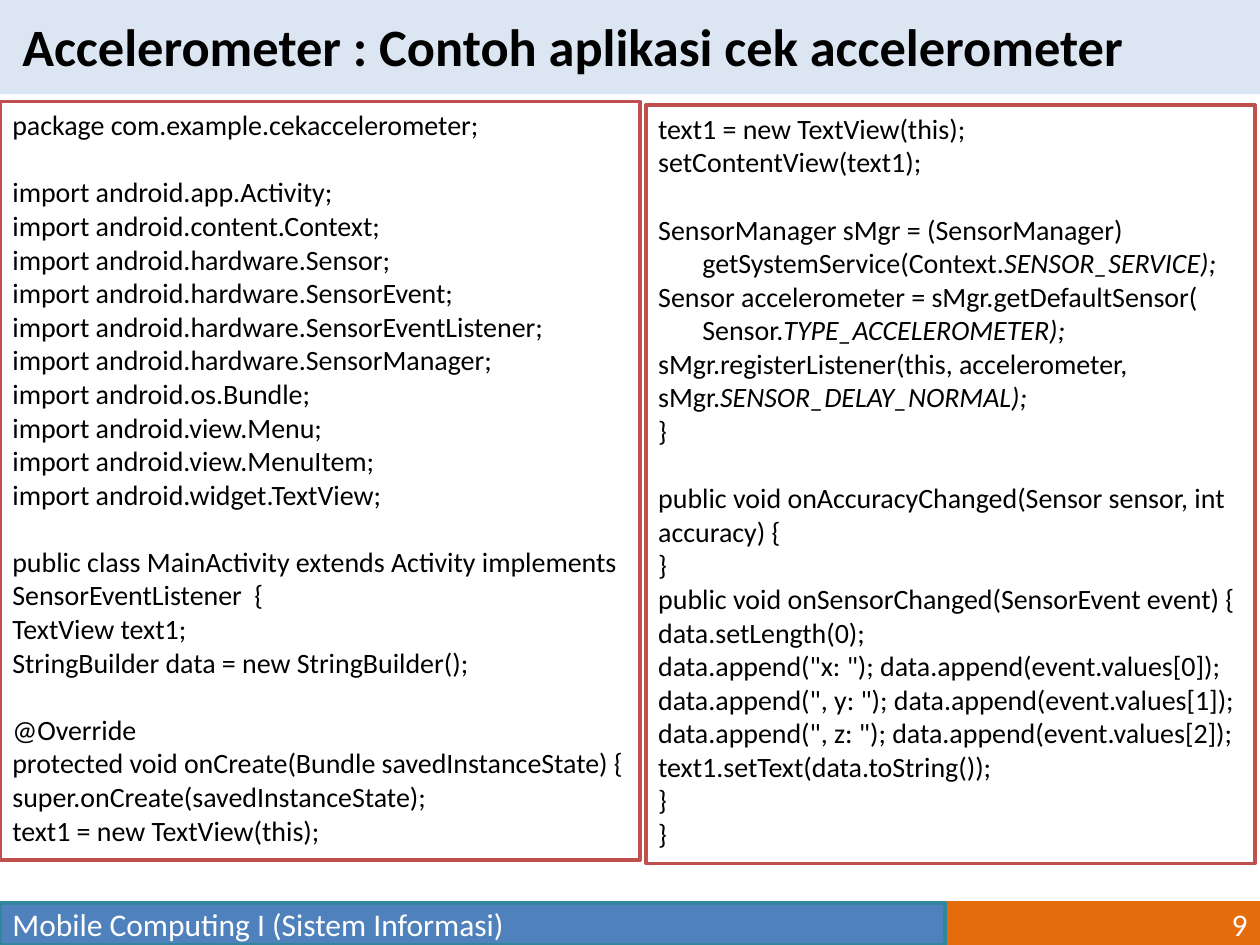
from dataclasses import dataclass

from pptx import Presentation
from pptx.dml.color import RGBColor
from pptx.enum.shapes import MSO_SHAPE
from pptx.enum.text import MSO_ANCHOR, PP_ALIGN
from pptx.util import Cm, Pt

RECTANGLE = MSO_SHAPE.RECTANGLE
TOP, MIDDLE = MSO_ANCHOR.TOP, MSO_ANCHOR.MIDDLE
LEFT, RIGHT = PP_ALIGN.LEFT, PP_ALIGN.RIGHT


@dataclass(frozen=True)
class Theme:
    font: str = "Calibri"
    title_size: int = 30
    code_size: int = 16
    footer_size: int = 18
    block_gap: float = 19.2
    border: int = 2
    ink: str = "000000"
    paper: str = "FFFFFF"
    title_band: str = "DCE6F2"
    code_border: str = "C0504D"
    course_fill: str = "4F81BD"
    course_border: str = "31859C"
    number_fill: str = "E46C0A"


THEME = Theme()
TITLE = "Accelerometer : Contoh aplikasi cek accelerometer"
COURSE = "Mobile Computing I (Sistem Informasi)"
PAGE_NUMBER = "9"

SETUP_CODE = [
    ["package com.example.cekaccelerometer;"],
    [
        "import android.app.Activity;",
        "import android.content.Context;",
        "import android.hardware.Sensor;",
        "import android.hardware.SensorEvent;",
        "import android.hardware.SensorEventListener;",
        "import android.hardware.SensorManager;",
        "import android.os.Bundle;",
        "import android.view.Menu;",
        "import android.view.MenuItem;",
        "import android.widget.TextView;",
    ],
    [
        "public class MainActivity extends Activity implements SensorEventListener  {",
        "TextView text1;",
        "StringBuilder data = new StringBuilder();",
    ],
    [
        "@Override",
        "protected void onCreate(Bundle savedInstanceState) {",
        "super.onCreate(savedInstanceState);",
        "text1 = new TextView(this);",
    ],
]
SENSOR_CODE = [
    ["text1 = new TextView(this);", "setContentView(text1);"],
    [
        "SensorManager sMgr = (SensorManager)",
        ("\tgetSystemService(Context.", "SENSOR_SERVICE);"),
        "Sensor accelerometer = sMgr.getDefaultSensor(",
        ("\tSensor.", "TYPE_ACCELEROMETER);"),
        ("sMgr.registerListener(this, accelerometer, sMgr.", "SENSOR_DELAY_NORMAL);"),
        "}",
    ],
    [
        "public void onAccuracyChanged(Sensor sensor, int accuracy) {",
        "}",
        "public void onSensorChanged(SensorEvent event) {",
        "data.setLength(0);",
        'data.append("x: "); data.append(event.values[0]);',
        'data.append(", y: "); data.append(event.values[1]);',
        'data.append(", z: "); data.append(event.values[2]);',
        "text1.setText(data.toString());",
        "}",
        "}",
    ],
]

SLIDE_WIDTH, SLIDE_HEIGHT = 25.4, 19.05
BAND_HEIGHT = 1.9
CODE_HEIGHT = 15.29
CODE_INDENT = 0.89
FOOTER_HEIGHT = 0.85
FOOTER_TOP = SLIDE_HEIGHT - FOOTER_HEIGHT
COURSE_WIDTH = SLIDE_WIDTH * 0.75


def add_panel(slide, box, fill, border=None):
    """Add a flat rectangle."""
    panel = slide.shapes.add_shape(RECTANGLE, *map(Cm, box))
    panel.shadow.inherit = False
    panel.fill.solid()
    panel.fill.fore_color.rgb = RGBColor.from_string(fill)
    if border:
        panel.line.color.rgb = RGBColor.from_string(border)
        panel.line.width = Pt(THEME.border)
    else:
        panel.line.fill.background()
    return panel


def write(shape, blocks, size, color=THEME.ink, bold=False, align=LEFT, anchor=TOP, wrap=True):
    """Write blocks of lines, where the second part of a line is italic."""
    frame = shape.text_frame
    frame.word_wrap = wrap
    frame.vertical_anchor = anchor
    lines = [(row, line) for block in blocks for row, line in enumerate(block)]
    for position, (row, line) in enumerate(lines):
        paragraph = frame.add_paragraph() if position else frame.paragraphs[0]
        paragraph.alignment = align
        if position and row == 0:
            paragraph.space_before = Pt(THEME.block_gap)
        parts = (line,) if isinstance(line, str) else line
        if parts[0].startswith("\t"):
            paragraph._p.get_or_add_pPr().set("marL", str(Cm(CODE_INDENT)))
        for order, words in enumerate(parts):
            run = paragraph.add_run()
            run.text = words.lstrip("\t")
            run.font.name = THEME.font
            run.font.size = Pt(size)
            run.font.bold = bold
            run.font.italic = order == 1
            run.font.color.rgb = RGBColor.from_string(color)


def main():
    """Build the slide and save it."""
    deck = Presentation()
    deck.slide_width, deck.slide_height = Cm(SLIDE_WIDTH), Cm(SLIDE_HEIGHT)
    slide = deck.slides.add_slide(deck.slide_layouts[6])

    add_panel(slide, (0, 0, SLIDE_WIDTH, BAND_HEIGHT), THEME.title_band)
    title = slide.shapes.add_textbox(Cm(0.2), Cm(0.16), Cm(22.9), Cm(1.54))
    write(title, [[TITLE]], THEME.title_size, bold=True, wrap=False)

    for left, top, width, code in (
        (0, 2.05, 12.9, SETUP_CODE),
        (13.02, 2.12, 12.28, SENSOR_CODE),
    ):
        listing = add_panel(
            slide, (left, top, width, CODE_HEIGHT), THEME.paper, THEME.code_border
        )
        write(listing, code, THEME.code_size)

    for left, width, fill, border, label, align in (
        (COURSE_WIDTH, SLIDE_WIDTH - COURSE_WIDTH, THEME.number_fill,
         THEME.number_fill, PAGE_NUMBER, RIGHT),
        (0, COURSE_WIDTH, THEME.course_fill, THEME.course_border, COURSE, LEFT),
    ):
        footer = add_panel(slide, (left, FOOTER_TOP, width, FOOTER_HEIGHT), fill, border)
        write(footer, [[label]], THEME.footer_size, THEME.paper, align=align, anchor=MIDDLE)

    deck.save("out.pptx")


if __name__ == "__main__":
    main()
